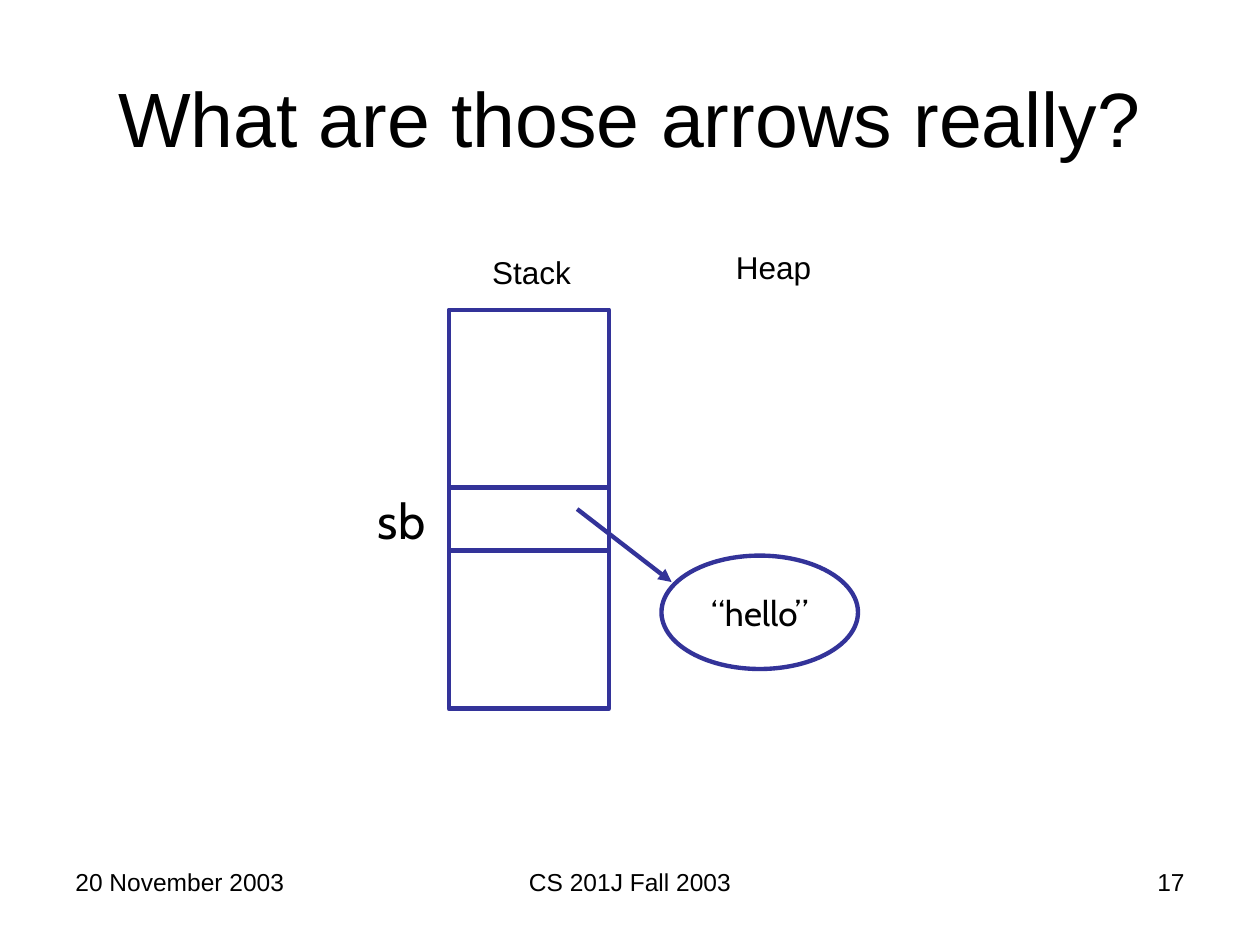
from lxml import etree
from pptx import Presentation
from pptx.dml.color import RGBColor
from pptx.enum.shapes import MSO_CONNECTOR, MSO_SHAPE
from pptx.enum.text import MSO_ANCHOR, MSO_AUTO_SIZE, PP_ALIGN
from pptx.oxml.ns import qn
from pptx.util import Pt

LEFT, CENTER, RIGHT = PP_ALIGN.LEFT, PP_ALIGN.CENTER, PP_ALIGN.RIGHT
TOP, MIDDLE = MSO_ANCHOR.TOP, MSO_ANCHOR.MIDDLE


def color(value):
    return RGBColor.from_string(value)


def set_values(target, values):
    for name, value in values.items():
        setattr(target, name, value)


class Sketch:
    """Style and current slide; all lengths are in points."""

    ink, black, white = "333399", "000000", "FFFFFF"
    line_width = 2.5
    plain, rounded = "Arial", "Cabin"

    def __init__(self, slide):
        self.slide = slide

    def add_text(self, shape, text, size, font, align=LEFT, anchor=TOP,
                 wrap=True, inset=3.6):
        frame = shape.text_frame
        set_values(frame, {
            "word_wrap": wrap, "vertical_anchor": anchor,
            "auto_size": MSO_AUTO_SIZE.NONE,
            "margin_left": Pt(7.2), "margin_right": Pt(7.2),
            "margin_top": Pt(inset), "margin_bottom": Pt(inset),
        })
        paragraph = frame.paragraphs[0]
        paragraph.alignment = align
        run = paragraph.add_run()
        run.text = text
        set_values(run.font, {"size": Pt(size), "name": font})
        run.font.color.rgb = color(self.black)

    def label(self, box, text, size, font=plain, **layout):
        shape = self.slide.shapes.add_textbox(*map(Pt, box))
        self.add_text(shape, text, size, font, **layout)

    def outline(self, line):
        line.color.rgb = color(self.ink)
        line.width = Pt(self.line_width)

    def shape(self, kind, box, fill=None):
        shape = self.slide.shapes.add_shape(kind, *map(Pt, box))
        shape.shadow.inherit = False
        if fill:
            shape.fill.solid()
            shape.fill.fore_color.rgb = color(fill)
        else:
            shape.fill.background()
        self.outline(shape.line)
        return shape

    def line(self, start, end, arrow=False):
        connector = self.slide.shapes.add_connector(
            MSO_CONNECTOR.STRAIGHT, *map(Pt, (*start, *end)))
        self.outline(connector.line)
        properties = connector._element.spPr
        if arrow:
            outline = properties.find(qn("a:ln"))
            etree.SubElement(outline, qn("a:tailEnd"), type="triangle")
        etree.SubElement(properties, qn("a:effectLst"))


def main():
    presentation = Presentation()
    set_values(presentation, {"slide_width": Pt(720), "slide_height": Pt(540)})
    sketch = Sketch(presentation.slides.add_slide(presentation.slide_layouts[6]))

    # Footer
    for left, width, text, align in (
            (36, 168, "20 November 2003", LEFT),
            (246, 228, "CS 201J Fall 2003", CENTER),
            (516, 168, "17", RIGHT)):
        sketch.label((left, 492, width, 37.5), text, 14, align=align)

    # Title
    sketch.label((36, 21.6, 648, 90), "What are those arrows really?", 44,
                 align=CENTER, anchor=MIDDLE, inset=0)

    # Stack with the slot for sb
    left, width = 256.5, 91.5
    sketch.shape(MSO_SHAPE.RECTANGLE, (left, 177, width, 228))
    for y in (278.6, 314.6):
        sketch.line((left, y), (left + width, y))
    sketch.label((208.8, 276.5, 44.6, 41), "sb", 28, Sketch.rounded, wrap=False)

    # Reference to the object on the heap
    sketch.line((329.8, 290.9), (383.8, 332.6), arrow=True)
    heap_object = sketch.shape(MSO_SHAPE.OVAL, (378, 317.5, 112.3, 64.8),
                               fill=Sketch.white)
    sketch.add_text(heap_object, "“hello”", 20, Sketch.rounded,
                    align=CENTER, anchor=MIDDLE, inset=10.8)

    # Column headings
    for box, text in (((274.3, 141.1, 59, 28.8), "Stack"),
                      ((413.3, 138.2, 57.6, 28.8), "Heap")):
        sketch.label(box, text, 18, align=CENTER, wrap=False)

    presentation.save("out.pptx")


if __name__ == "__main__":
    main()
